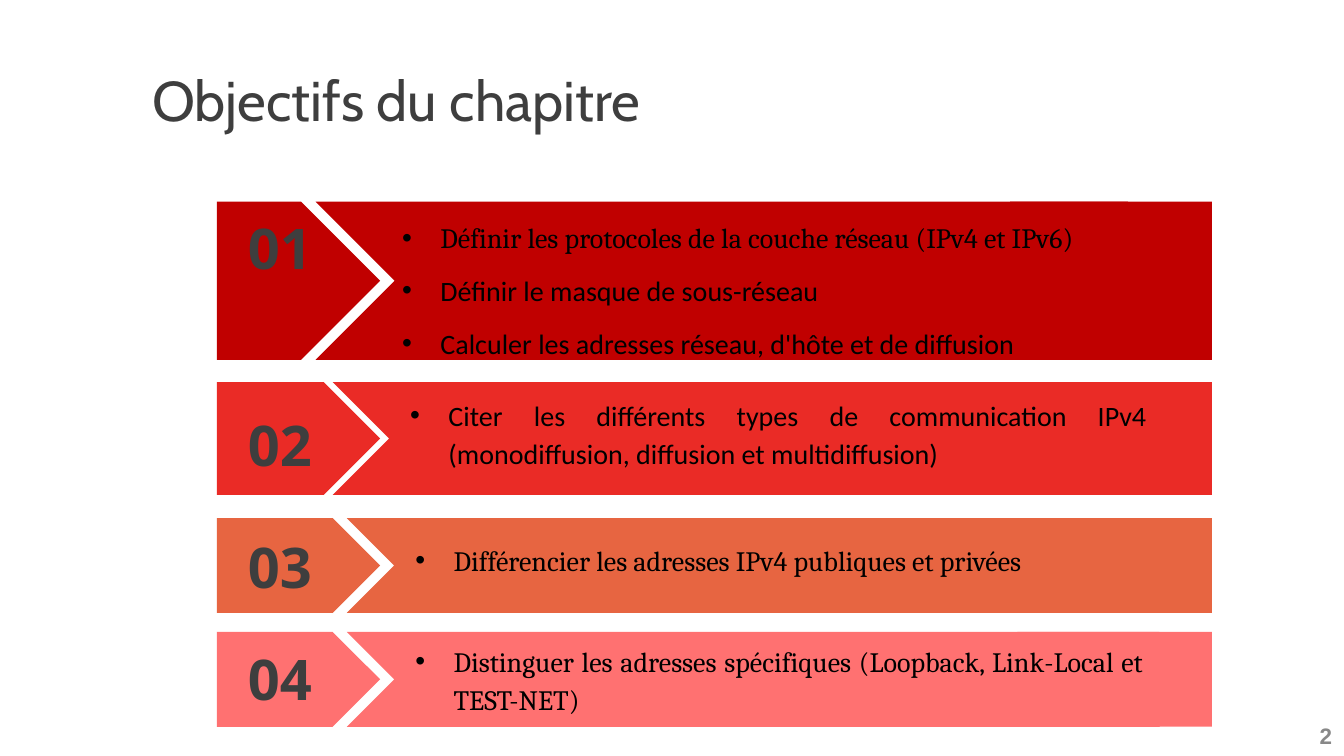
from dataclasses import dataclass

from lxml.etree import SubElement
from pptx import Presentation
from pptx.dml.color import RGBColor
from pptx.enum.shapes import MSO_SHAPE as Preset
from pptx.enum.text import MSO_ANCHOR as Anchor, MSO_AUTO_SIZE as AutoSize, PP_ALIGN as Align
from pptx.oxml.ns import qn
from pptx.util import Pt

PX = 9144  # 100 px to the inch


@dataclass(frozen=True)
class Theme:
    heading: str = "3E3E3E"
    body: str = "000000"
    page: str = "888888"
    bands: tuple = ("C00000", "EA2B26", "E76541", "FF7171")
    large: int = 40
    text: int = 20
    small: int = 16


THEME = Theme()
BAND_LEFT, BAND_RIGHT, CHEVRON_RIGHT = 215, 1202, 1197

# top, height, chevron left, end block left, number top, text box, bullets
OBJECTIVES = [
    (200, 157, 313, 1002, 207, (389, 209, 796, 152), [
        ("Définir les protocoles de la couche réseau (IPv4 et IPv6)", "Cambria"),
        ("Définir le masque de sous-réseau", "Calibri"),
        ("Calculer les adresses réseau, d'hôte et de diffusion", "Calibri")]),
    (379, 112, 330, 1006, 402, (397, 385, 750, 85), [
        ("Citer les différents types de communication IPv4 "
         "(monodiffusion, diffusion et multidiffusion)", "Calibri")]),
    (514, 94, 344, 1009, 523, (402, 529, 765, 46), [
        ("Différencier les adresses IPv4 publiques et privées", "Cambria")]),
    (627, 94, 344, 1009, 635, (402, 629, 742, 85), [
        ("Distinguer les adresses spécifiques (Loopback, Link-Local et TEST-NET)",
         "Cambria")]),
]


def emu(*lengths):
    return [length * PX for length in lengths]


def apply(target, values):
    for name, value in values.items():
        setattr(target, name, value)


def write(paragraph, text, font, size, color, bold=False, **layout):
    apply(paragraph, layout)
    run = paragraph.add_run()
    run.text = text
    apply(run.font, {"name": font, "size": Pt(size), "bold": bold})
    run.font.color.rgb = RGBColor.from_string(color)


def add_bullet(paragraph, indent):
    properties = paragraph._p.get_or_add_pPr()
    properties.set("marL", str(indent * PX))
    properties.set("indent", str(-indent * PX))
    SubElement(properties, qn("a:buFont"), typeface="Arial")
    SubElement(properties, qn("a:buChar"), char="•")


def add_block(slide, preset, box, color):
    shape = slide.shapes.add_shape(preset, *emu(*box))
    shape.shadow.inherit = False
    shape.fill.solid()
    shape.fill.fore_color.rgb = RGBColor.from_string(color)
    shape.line.fill.background()


def add_text_frame(slide, box, **values):
    frame = slide.shapes.add_textbox(*emu(*box)).text_frame
    apply(frame, {"word_wrap": True, "auto_size": AutoSize.SHAPE_TO_FIT_TEXT, **values})
    return frame


def add_title(slide, text):
    title = slide.shapes.title
    apply(title, dict(zip(("left", "top", "width", "height"), emu(141, 40, 900, 125))))
    title.text_frame.vertical_anchor = Anchor.MIDDLE
    write(title.text_frame.paragraphs[0], text, "Cabin", THEME.large, THEME.heading,
          alignment=Align.LEFT, line_spacing=0.9)


def add_band(slide, top, height, chevron_left, end_left, color):
    for preset, left, right in (
        (Preset.PENTAGON, BAND_LEFT, 377),
        (Preset.CHEVRON, chevron_left, CHEVRON_RIGHT),
        (Preset.RECTANGLE, end_left, BAND_RIGHT),
    ):
        add_block(slide, preset, (left, top, right - left, height), color)


def add_number(slide, top, number):
    frame = add_text_frame(slide, (222, top, 111, 77))
    write(frame.paragraphs[0], f"{number:02d}", "Open Sans", THEME.large, THEME.heading,
          bold=True, alignment=Align.CENTER)


def add_bullets(slide, box, bullets):
    frame = add_text_frame(slide, box)
    for index, (text, font) in enumerate(bullets):
        paragraph = frame.add_paragraph() if index else frame.paragraphs[0]
        add_bullet(paragraph, 38)
        write(paragraph, text, font, THEME.text, THEME.body,
              alignment=Align.JUSTIFY, line_spacing=1.15, space_after=Pt(10))


def add_page_number(slide, number):
    margins = {f"margin_{side}": 5 * PX for side in ("left", "top", "right", "bottom")}
    frame = add_text_frame(slide, (1288, 711, 38, 37), vertical_anchor=Anchor.MIDDLE, **margins)
    write(frame.paragraphs[0], number, "Arial", THEME.small, THEME.page,
          bold=True, alignment=Align.RIGHT)


def main():
    presentation = Presentation()
    presentation.slide_width, presentation.slide_height = emu(1333, 750)
    slide = presentation.slides.add_slide(presentation.slide_layouts[5])

    add_title(slide, "Objectifs du chapitre")

    # One coloured band for each objective
    for number, (objective, color) in enumerate(zip(OBJECTIVES, THEME.bands), 1):
        top, height, chevron_left, end_left, number_top, box, bullets = objective
        add_band(slide, top, height, chevron_left, end_left, color)
        add_number(slide, number_top, number)
        add_bullets(slide, box, bullets)

    add_page_number(slide, "2")
    presentation.save("out.pptx")


if __name__ == "__main__":
    main()
